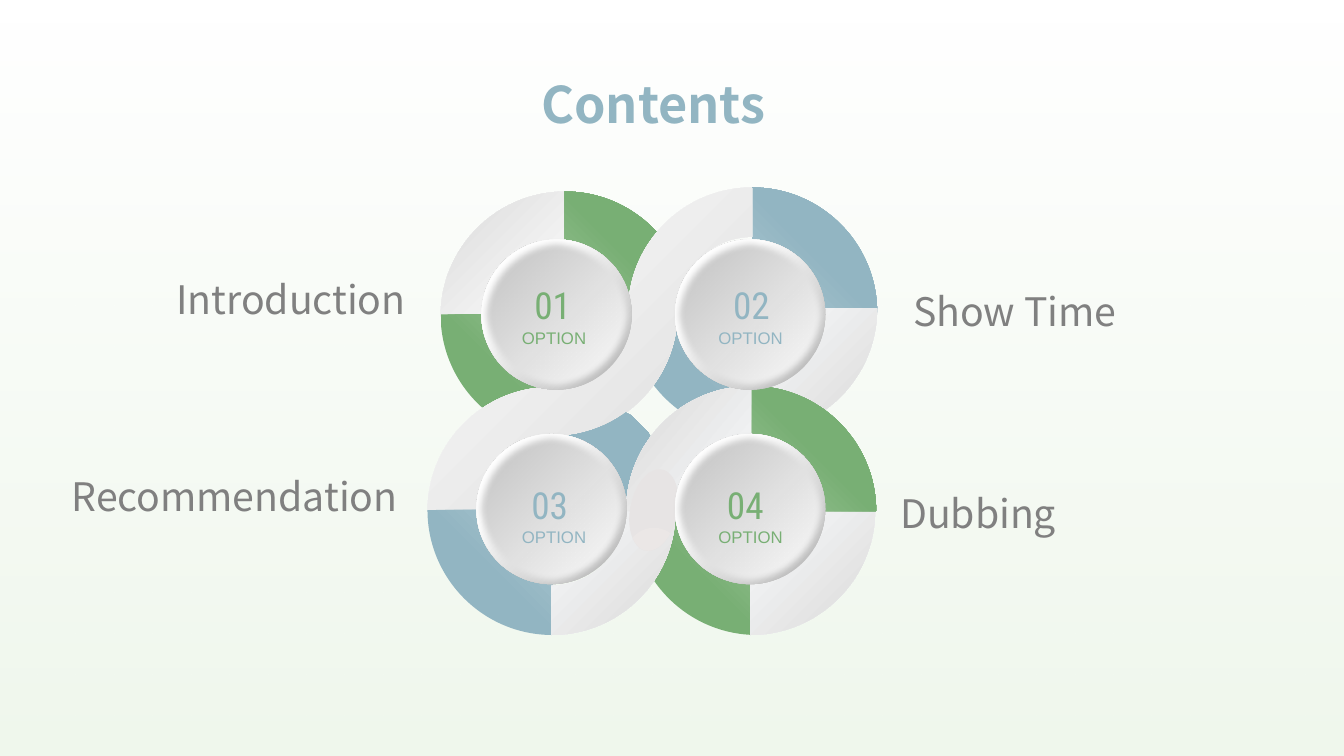
import math

import pptx
import pptx.dml.color
import pptx.enum.shapes
import pptx.enum.text
import pptx.oxml
import pptx.oxml.ns
import pptx.util

Inches = pptx.util.Inches
RGBColor = pptx.dml.color.RGBColor
PP_ALIGN = pptx.enum.text.PP_ALIGN
MSO_SHAPE = pptx.enum.shapes.MSO_SHAPE
qn = pptx.oxml.ns.qn
NAMESPACE = pptx.oxml.ns.nsdecls("a")

WHITE = RGBColor(0xFF, 0xFF, 0xFF)
MINT = RGBColor(0xF0, 0xF8, 0xED)
BLUE = RGBColor(0x92, 0xB5, 0xC2)
LIGHT_BLUE = RGBColor(0xAD, 0xC8, 0xD1)
GREEN = RGBColor(0x78, 0xAF, 0x74)
LIGHT_GREEN = RGBColor(0x9A, 0xC3, 0x97)
PALE = RGBColor(0xFA, 0xFB, 0xFC)
SILVER = RGBColor(0xD9, 0xD9, 0xD9)
DISC_GRAY = RGBColor(0xBF, 0xBF, 0xBF)
WARM_LIGHT = RGBColor(0xEB, 0xE7, 0xE6)
WARM_DARK = RGBColor(0xE7, 0xE4, 0xE4)
TEXT_GRAY = RGBColor(0x80, 0x80, 0x80)

TITLE = "Contents"
LABEL_FONT = "Noto Sans CJK SC"
# text, box (left, top, width, height), alignment
LABELS = [
    ("Introduction", (1.59, 2.68, 2.53, 0.57), PP_ALIGN.RIGHT),
    ("Show Time", (8.96, 2.8, 2.27, 0.57), PP_ALIGN.LEFT),
    ("Recommendation", (0.52, 4.64, 3.52, 0.57), PP_ALIGN.RIGHT),
    ("Dubbing", (8.83, 4.81, 1.84, 0.57), PP_ALIGN.LEFT),
]
# number, colour, disc centre, number left and width, caption left, number top
OPTIONS = [
    ("01", GREEN, (5.52, 3.12), 5.3, 0.53, 5.07, 2.8),
    ("02", BLUE, (7.44, 3.12), 7.27, 0.49, 7.02, 2.8),
    ("03", BLUE, (5.47, 5.05), 5.27, 0.6, 5.07, 4.78),
    ("04", GREEN, (7.44, 5.05), 7.21, 0.6, 7.02, 4.78),
]

# Gradients: stops of (position, colour), then the angle
BLUE_UPPER = ([(0, LIGHT_BLUE), (50, BLUE)], 315)
BLUE_LOWER = ([(50, BLUE), (100, LIGHT_BLUE)], 315)
GREEN_UPPER = ([(0, LIGHT_GREEN), (50, GREEN)], 315)
GREEN_LOWER = ([(50, GREEN), (100, LIGHT_GREEN)], 315)
PALE_LOWER = ([(0, PALE), (100, SILVER)], 45)
PALE_UPPER = ([(0, PALE), (100, SILVER)], 220)
WHITE_UPPER = ([(0, WHITE), (100, SILVER)], 225)
WHITE_RIBBON = ([(0, WHITE), (100, SILVER)], 45)

# Ring quarters: centre, start angle (clockwise from the right), gradient
RADIUS = 1.24
QUARTERS_BELOW = [
    ((7.46, 3.1), 270, BLUE_UPPER),
    ((7.51, 5.06), 90, GREEN_LOWER),
    ((7.44, 5.06), 0, PALE_LOWER),
    ((5.61, 3.14), 180, WHITE_UPPER),
    ((5.6, 3.14), 270, GREEN_UPPER),
    ((5.61, 3.12), 90, GREEN_LOWER),
    ((7.47, 3.07), 90, BLUE_LOWER),
    ((7.46, 3.06), 0, PALE_LOWER),
]
QUARTERS_ABOVE = [
    ((7.45, 5.07), 270, GREEN_UPPER),
    ((5.48, 5.06), 90, BLUE_LOWER),
]

# Ribbons: arcs (centre, radius, start angle, end angle) and corners (x, y), gradient
RING_1, RING_2, RING_3, RING_4 = (5.48, 3.09), (7.46, 3.09), (5.47, 5.07), (7.45, 5.07)
DIAGONAL_RIBBON = ([
    (RING_3, 1.23, 180, 270), (RING_1, 0.75, 90, 0), (RING_2, 1.23, 180, 270),
    (RING_2, 0.74, 270, 180), (RING_1, 1.24, 0, 90), (RING_3, 0.74, 270, 180),
], WHITE_RIBBON)
RIBBONS = [
    ([(RING_4, 1.22, 216, 180), RING_3, (RING_1, 1.24, 90, 54),
      (6.26, 4.12), (6.43, 4.29)], BLUE_UPPER),
    ([(RING_3, 1.23, 0, 90), (RING_3, 0.74, 90, 0)], PALE_LOWER),
    ([(RING_4, 1.24, 270, 180), (RING_4, 0.75, 180, 270)], PALE_UPPER),
]


def set_gradient(shape, stops, angle=None, focus=None):
    """Linear gradient by angle, or circular towards focus (l, t, r, b in percent).

    A stop may carry an opacity in percent as a third value."""
    stop_xml = "".join(
        f'<a:gs pos="{position * 1000}"><a:srgbClr val="{color}">'
        + "".join(f'<a:alpha val="{value * 1000}"/>' for value in opacity)
        + "</a:srgbClr></a:gs>"
        for position, color, *opacity in stops)
    if focus is None:
        direction = f'<a:lin ang="{angle * 60000}" scaled="0"/>'
    else:
        sides = " ".join(f'{side}="{value * 1000}"' for side, value in zip("ltrb", focus))
        direction = f'<a:path path="circle"><a:fillToRect {sides}/></a:path>'
    gradient = pptx.oxml.parse_xml(
        f'<a:gradFill {NAMESPACE} rotWithShape="1">'
        f'<a:gsLst>{stop_xml}</a:gsLst>{direction}</a:gradFill>')
    shape.fill.gradient()
    properties = shape.element.spPr
    properties.replace(properties.find(qn("a:gradFill")), gradient)
    shape.line.fill.background()
    shape.shadow.inherit = False


def add_preset(slide, kind, box, stops, **direction):
    shape = slide.shapes.add_shape(kind, *map(Inches, box))
    set_gradient(shape, stops, **direction)
    return shape


def arc_points(center, radius, start, end):
    """Start, two control points and end of the Bezier curve for an arc."""
    first, last = math.radians(start), math.radians(end)
    reach = 4 / 3 * math.tan((last - first) / 4)
    points = [(math.cos(angle) - pull * math.sin(angle), math.sin(angle) + pull * math.cos(angle))
              for angle, pull in ((first, 0), (first, reach), (last, -reach), (last, 0))]
    return [(center[0] + radius * x, center[1] + radius * y) for x, y in points]


def add_outline(slide, parts, gradient):
    points, curve_starts = [], []
    for part in parts:
        if len(part) == 2:
            points.append(part)
        else:
            curve_starts.append(len(points))
            points.extend(arc_points(*part))
    points = [(Inches(x), Inches(y)) for x, y in points]
    builder = slide.shapes.build_freeform(*points[0], scale=1.0)
    builder.add_line_segments(points[1:], close=True)
    shape = builder.convert_to_shape()
    # Join the three segments after each arc start into one curve
    segments = list(shape.element.spPr.iter(qn("a:lnTo")))
    for start in curve_starts:
        curve = pptx.oxml.parse_xml(f"<a:cubicBezTo {NAMESPACE}/>")
        segments[start].addprevious(curve)
        for segment in segments[start:start + 3]:
            curve.append(segment[0])
            segment.getparent().remove(segment)
    set_gradient(shape, *gradient)


def add_quarter(slide, center, start, gradient):
    add_outline(slide, [(center, RADIUS, start, start + 90), center], gradient)


def write(frame, text, font_name, size, color, alignment, bold=False):
    paragraph = frame.paragraphs[0]
    paragraph.alignment = alignment
    run = paragraph.add_run()
    run.text = text
    run.font.name = font_name
    run.font.size = pptx.util.Pt(size)
    run.font.bold = bold
    run.font.color.rgb = color
    return paragraph


def add_text(slide, box, text, font_name, size, color, alignment, margin=None):
    frame = slide.shapes.add_textbox(*map(Inches, box)).text_frame
    frame.word_wrap = margin is not None
    if margin is not None:
        frame.margin_left = frame.margin_right = margin
        frame.margin_top = frame.margin_bottom = margin
    write(frame, text, font_name, size, color, alignment)


def add_disc(slide, center):
    for diameter, stops in ((1.49, [(29, WHITE), (86, DISC_GRAY)]),
                            (1.53, [(0, DISC_GRAY), (100, WHITE)])):
        box = (center[0] - diameter / 2, center[1] - diameter / 2, diameter, diameter)
        disc = add_preset(slide, MSO_SHAPE.OVAL, box, stops, focus=(0, 0, 100, 100))
    # The upper disc fades out over the rim of the lower one
    effects = disc.element.spPr.find(qn("a:effectLst"))
    effects.append(pptx.oxml.parse_xml(f'<a:softEdge {NAMESPACE} rad="63500"/>'))


def main():
    presentation = pptx.Presentation()
    presentation.slide_width, presentation.slide_height = Inches(13.33), Inches(7.5)
    slide = presentation.slides.add_slide(presentation.slide_layouts[5])

    # Backdrop, moved to the back of the slide master
    backdrop = add_preset(slide, MSO_SHAPE.RECTANGLE, (0, 0.19, 13.33, 7.31),
                          [(0, MINT, 0), (100, MINT)], angle=90)
    backdrop.element.nvSpPr.cNvPr.set("id", "20")
    presentation.slide_master.shapes.element.insert(2, backdrop.element)

    # Title
    title = slide.shapes.title
    title.left, title.top, title.width, title.height = map(Inches, (0.73, 0.69, 11.5, 0.74))
    title.text_frame.vertical_anchor = pptx.enum.text.MSO_ANCHOR.MIDDLE
    paragraph = write(title.text_frame, TITLE, LABEL_FONT, 36, BLUE, PP_ALIGN.CENTER, bold=True)
    paragraph.line_spacing = 0.9

    # Interlaced rings
    for quarter in QUARTERS_BELOW:
        add_quarter(slide, *quarter)
    add_outline(slide, *DIAGONAL_RIBBON)
    for quarter in QUARTERS_ABOVE:
        add_quarter(slide, *quarter)
    for ribbon in RIBBONS:
        add_outline(slide, *ribbon)
    joint = add_preset(slide, MSO_SHAPE.OVAL, (6.25, 4.65, 0.47, 0.82),
                       [(0, WARM_LIGHT), (100, WARM_DARK)], focus=(50, 130, 50, -30))
    joint.rotation = 11.7

    # Numbered discs
    for number, color, center, left, width, caption_left, top in OPTIONS:
        add_disc(slide, center)
        add_text(slide, (left, top, width, 0.45), number,
                 "Roboto Condensed", 26.6, color, PP_ALIGN.LEFT, margin=0)
        add_text(slide, (caption_left, top + 0.4, 0.85, 0.3), "OPTION",
                 "Arial", 12, color, PP_ALIGN.CENTER)

    # Section labels
    for text, box, alignment in LABELS:
        add_text(slide, box, text, LABEL_FONT, 28, TEXT_GRAY, alignment)

    presentation.save("out.pptx")


if __name__ == "__main__":
    main()
